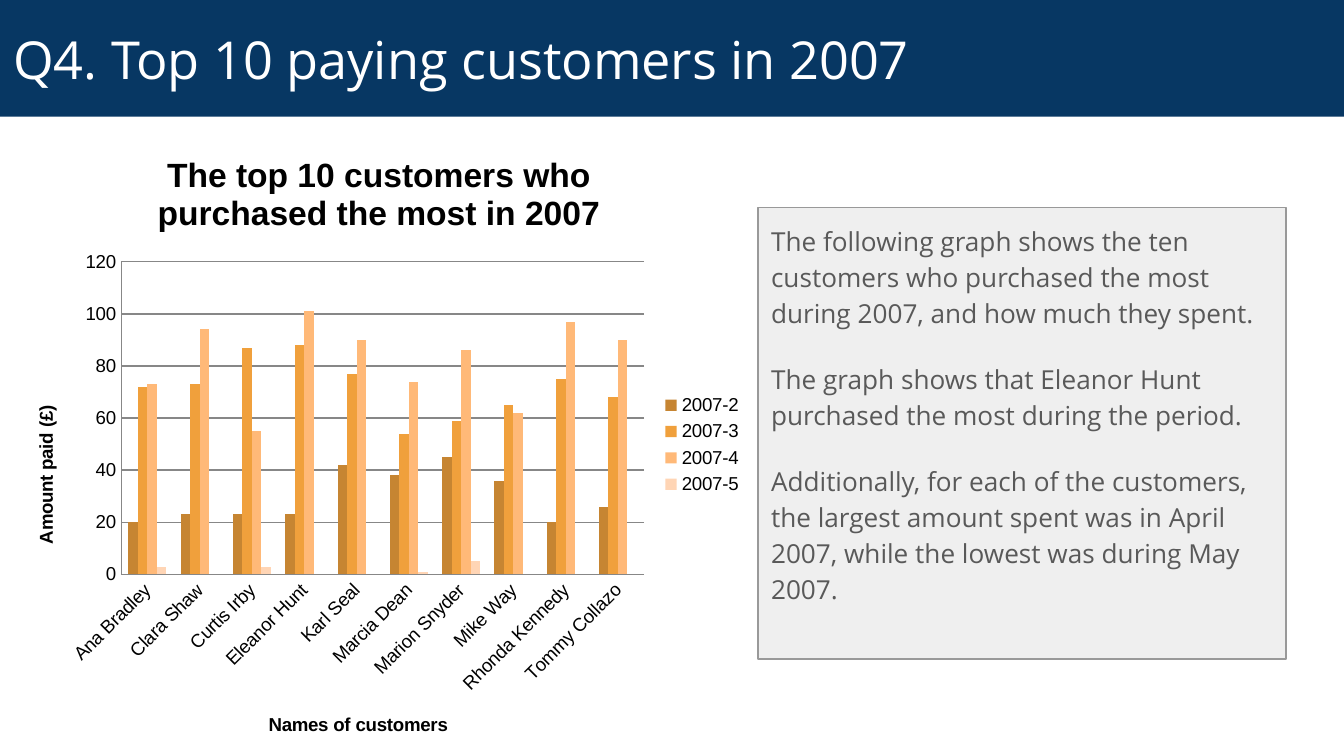
from dataclasses import dataclass

from lxml.etree import SubElement
from pptx import Presentation
from pptx.chart.data import CategoryChartData
from pptx.dml.color import RGBColor
from pptx.enum.chart import XL_CHART_TYPE, XL_LEGEND_POSITION, XL_TICK_MARK
from pptx.enum.shapes import MSO_SHAPE
from pptx.enum.text import MSO_ANCHOR, PP_ALIGN
from pptx.oxml import parse_xml
from pptx.oxml.ns import nsdecls, qn
from pptx.util import Pt


@dataclass(frozen=True)
class Theme:
    navy: str = "073763"
    white: str = "FFFFFF"
    panel: str = "EFEFEF"
    edge: str = "999999"
    body: str = "595959"
    black: str = "000000"
    grid: str = "878787"
    bars: tuple = ("C68532", "F0A03C", "FFB978", "FFD5B5")
    font: str = "Open Sans"
    plain: str = "Arial"
    head: int = 28
    title: int = 18
    text: int = 14
    small: int = 10


def apply(target, values):
    for name, value in values.items():
        setattr(target, name, value)


class Deck:
    def __init__(self, theme, width, height):
        self.theme = theme
        self.deck = Presentation()
        apply(self.deck, {"slide_width": Pt(width), "slide_height": Pt(height)})
        self.slide = self.deck.slides.add_slide(self.deck.slide_layouts[6])

    def style(self, font, size, color, name, bold=False):
        apply(font, {"size": Pt(size), "name": name, "bold": bold})
        font.color.rgb = RGBColor.from_string(color)

    def box(self, area, fill, texts, size, color, anchor, line=None, para=None):
        shape = self.slide.shapes.add_shape(MSO_SHAPE.RECTANGLE, *map(Pt, area))
        shape.shadow.inherit = False
        shape.fill.solid()
        shape.fill.fore_color.rgb = RGBColor.from_string(fill)
        if line:
            shape.line.color.rgb = RGBColor.from_string(line)
            shape.line.width = Pt(0.75)
        else:
            shape.line.fill.background()
        frame = shape.text_frame
        sides = ("left", "right", "top", "bottom")
        apply(frame, {f"margin_{side}": Pt(7.2) for side in sides})
        apply(frame, {"word_wrap": True, "vertical_anchor": anchor})
        for index, text in enumerate(texts):
            block = frame.add_paragraph() if index else frame.paragraphs[0]
            apply(block, {"alignment": PP_ALIGN.LEFT, **(para or {})})
            run = block.add_run()
            run.text = text
            self.style(run.font, size, color, self.theme.font)

    def place(self, part, index, **spots):
        """Fix the place of a chart part, as shares of the chart area."""
        for old in part.findall(qn("c:layout")):
            part.remove(old)
        layout = parse_xml(f"<c:layout {nsdecls('c')}/>")
        part.insert(index, layout)
        manual = SubElement(layout, qn("c:manualLayout"))
        if "w" in spots:
            SubElement(manual, qn("c:layoutTarget")).set("val", "inner")
        for axis in "xy":
            SubElement(manual, qn(f"c:{axis}Mode")).set("val", "edge")
        for key, value in spots.items():
            SubElement(manual, qn(f"c:{key}")).set("val", str(value))

    def label(self, owner, text, size, x, y):
        run = owner.text_frame.paragraphs[0].add_run()
        run.text = text
        self.style(run.font, size, self.theme.black, self.theme.plain, True)
        self.place(owner._element, 1, x=x, y=y)

    def turn(self, part, angle):
        for body in part.iter(qn("a:bodyPr")):
            body.set("rot", str(angle * 60000))

    def chart(self, area, title, names, rows):
        look = self.theme
        data = CategoryChartData()
        data.categories = names
        for name, values in rows.items():
            data.add_series(name, values)
        chart = self.slide.shapes.add_chart(
            XL_CHART_TYPE.COLUMN_CLUSTERED, *map(Pt, area), data).chart
        self.style(chart.font, look.small, look.black, look.plain)
        self.label(chart.chart_title, title, look.title, 0.2, 0.04)

        # Bars
        plot = chart.plots[0]
        apply(plot, {"gap_width": 150, "overlap": 0, "vary_by_categories": False})
        for series, color in zip(plot.series, look.bars):
            series.format.fill.solid()
            series.format.fill.fore_color.rgb = RGBColor.from_string(color)
        self.place(chart._chartSpace.chart.plotArea, 0,
                   x=0.16, y=0.22, w=0.69, h=0.49)

        # Axes
        base, scale = chart.category_axis, chart.value_axis
        apply(scale, {"minimum_scale": 0, "maximum_scale": 120, "major_unit": 20})
        lines = [scale.major_gridlines.format.line]
        for axis in (base, scale):
            apply(axis, {"major_tick_mark": XL_TICK_MARK.NONE,
                         "minor_tick_mark": XL_TICK_MARK.NONE})
            self.style(axis.tick_labels.font, look.small, look.black, look.plain)
            lines.append(axis.format.line)
        for line in lines:
            line.color.rgb = RGBColor.from_string(look.grid)
            line.width = Pt(0.75)
        self.turn(base._element, -45)
        self.label(base.axis_title, "Names of customers", look.small, 0.35, 0.92)
        self.label(scale.axis_title, "Amount paid (£)", look.small, 0.04, 0.44)
        self.turn(base.axis_title._element, 0)
        self.turn(scale.axis_title._element, -90)

        # Legend
        chart.has_legend = True
        apply(chart.legend, {"position": XL_LEGEND_POSITION.RIGHT,
                             "include_in_layout": False})
        self.style(chart.legend.font, look.small, look.black, look.plain)
        self.place(chart.legend._element, 1, x=0.87, y=0.42)

    def save(self):
        self.deck.save("out.pptx")


look = Theme()
deck = Deck(look, 720, 405)

# Commentary panel
deck.box((406, 111, 283, 242), look.panel, [
    "The following graph shows the ten customers who purchased the most "
    "during 2007, and how much they spent.",
    "The graph shows that Eleanor Hunt purchased the most during the period.",
    "Additionally, for each of the customers, the largest amount spent was in "
    "April 2007, while the lowest was during May 2007.",
], look.text, look.body, MSO_ANCHOR.TOP, look.edge,
    {"line_spacing": 1.15, "space_after": Pt(16)})

# Title band
deck.box((0, 0, 720, 62.6), look.navy, ["Q4. Top 10 paying customers in 2007"],
         look.head, look.white, MSO_ANCHOR.MIDDLE)

# Spending chart
deck.chart(
    (0, 65, 406, 342), "The top 10 customers who purchased the most in 2007",
    ["Ana Bradley", "Clara Shaw", "Curtis Irby", "Eleanor Hunt", "Karl Seal",
     "Marcia Dean", "Marion Snyder", "Mike Way", "Rhonda Kennedy",
     "Tommy Collazo"],
    {"2007-2": (20, 23, 23, 23, 42, 38, 45, 36, 20, 26),
     "2007-3": (72, 73, 87, 88, 77, 54, 59, 65, 75, 68),
     "2007-4": (73, 94, 55, 101, 90, 74, 86, 62, 97, 90),
     "2007-5": (3, None, 3, None, None, 1, 5, None, None, None)})

deck.save()
